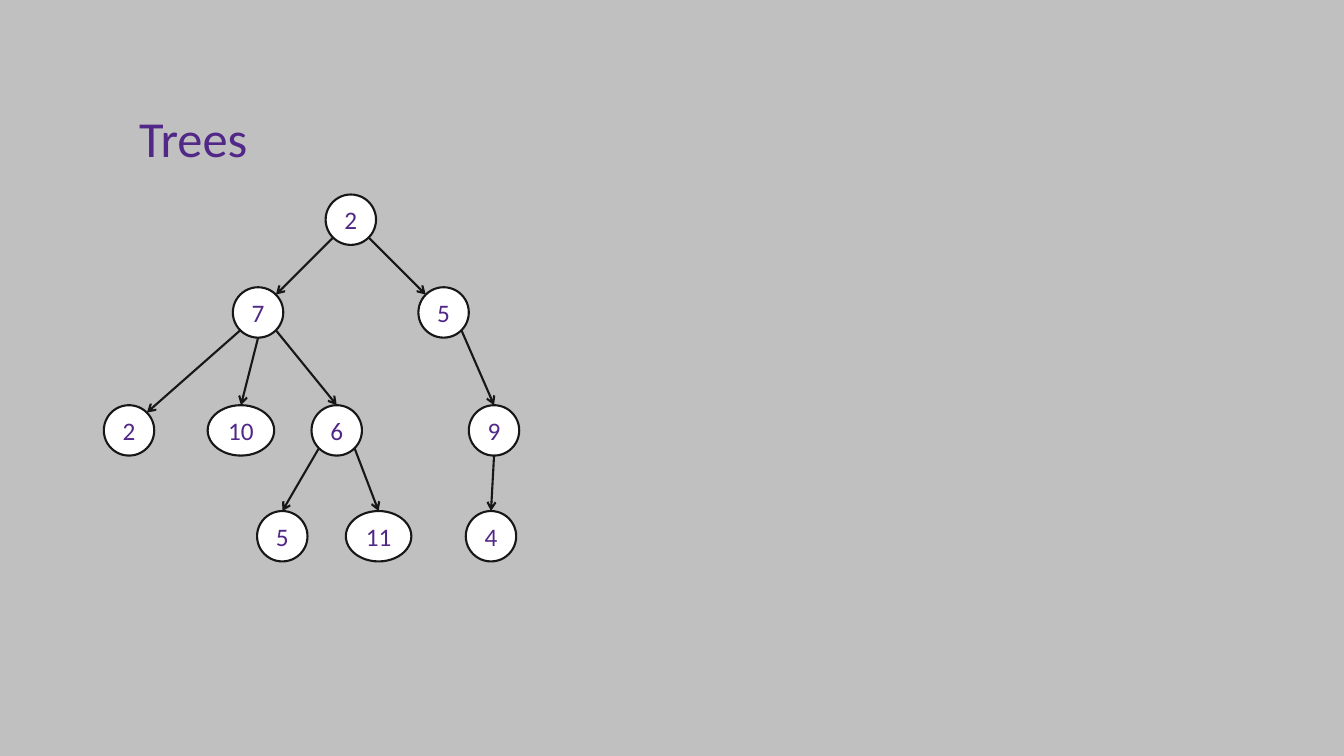
from math import cos, radians, sin

from lxml import etree
from pptx import Presentation
from pptx.dml.color import RGBColor
from pptx.enum.shapes import MSO_CONNECTOR, MSO_SHAPE
from pptx.enum.text import MSO_ANCHOR, MSO_AUTO_SIZE, PP_ALIGN
from pptx.oxml.ns import qn
from pptx.util import Inches, Pt

# Directions from a node's centre, in degrees clockwise from the right
ANGLES = {"right_down": 45, "down": 90, "left_down": 135,
          "left_up": 225, "up": 270, "right_up": 315}

# name: (label, left, top, width)
NODES = {
    "root": ("2", 3.23, 1.93, 0.5),
    "seven": ("7", 2.31, 2.85, 0.5),
    "right_five": ("5", 4.15, 2.85, 0.5),
    "left_two": ("2", 1.03, 4.02, 0.5),
    "ten": ("10", 2.06, 4.02, 0.66),
    "six": ("6", 3.09, 4.02, 0.5),
    "nine": ("9", 4.65, 4.02, 0.5),
    "left_five": ("5", 2.55, 5.07, 0.5),
    "eleven": ("11", 3.43, 5.07, 0.65),
    "four": ("4", 4.62, 5.07, 0.5),
}

# (parent, leaving side, child, entering side)
EDGES = [
    ("root", "left_down", "seven", "right_up"),
    ("root", "right_down", "right_five", "left_up"),
    ("right_five", "right_down", "nine", "up"),
    ("nine", "down", "four", "up"),
    ("seven", "left_down", "left_two", "right_up"),
    ("seven", "down", "ten", "up"),
    ("seven", "right_down", "six", "up"),
    ("six", "left_down", "left_five", "up"),
    ("six", "right_down", "eleven", "up"),
]


def rgb(color):
    return RGBColor.from_string(color)


def write(tf, text, size, color, font="Calibri", align=PP_ALIGN.LEFT,
          anchor=MSO_ANCHOR.TOP):
    tf.word_wrap = False
    tf.vertical_anchor = anchor
    p = tf.paragraphs[0]
    p.alignment = align
    r = p.add_run()
    r.text = text
    r.font.name, r.font.size = font, Pt(size)
    r.font.color.rgb = rgb(color)


class TreeSlide:
    purple, ink, paper, gray = "512888", "181717", "FFFFFF", "C0C0C0"
    line_width = 1.5
    node_height = 0.5

    def __init__(self, prs):
        self.s = prs.slides.add_slide(prs.slide_layouts[5])
        fill = self.s.background.fill
        fill.solid()
        fill.fore_color.rgb = rgb(self.gray)

    def style_line(self, line):
        line.color.rgb = rgb(self.ink)
        line.width = Pt(self.line_width)

    def title(self, text, left, top, width, height):
        sp = self.s.shapes.title
        sp.left, sp.top = Inches(left), Inches(top)
        sp.width, sp.height = Inches(width), Inches(height)
        write(sp.text_frame, text, 36, self.purple)
        sp.text_frame.auto_size = MSO_AUTO_SIZE.SHAPE_TO_FIT_TEXT

    def node(self, label, left, top, width):
        sp = self.s.shapes.add_shape(
            MSO_SHAPE.OVAL, Inches(left), Inches(top),
            Inches(width), Inches(self.node_height))
        sp.shadow.inherit = False
        sp.fill.solid()
        sp.fill.fore_color.rgb = rgb(self.paper)
        self.style_line(sp.line)
        write(sp.text_frame, label, 18, self.purple,
              align=PP_ALIGN.CENTER, anchor=MSO_ANCHOR.MIDDLE)
        return sp

    def rim_point(self, sp, side):
        """Return the point on the node's outline in the given direction."""
        angle = radians(ANGLES[side])
        return (round(sp.left + sp.width / 2 * (1 + cos(angle))),
                round(sp.top + sp.height / 2 * (1 + sin(angle))))

    def edge(self, parent, leaving, child, entering):
        c = self.s.shapes.add_connector(
            MSO_CONNECTOR.STRAIGHT, *self.rim_point(parent, leaving),
            *self.rim_point(child, entering))
        self.style_line(c.line)
        etree.SubElement(c.line._get_or_add_ln(), qn("a:tailEnd"), type="arrow")
        etree.SubElement(c._element.spPr, qn("a:effectLst"))


def main():
    prs = Presentation()
    prs.slide_width, prs.slide_height = Inches(13.33), Inches(7.5)
    tree = TreeSlide(prs)
    tree.title("Trees", 1.28, 1.01, 1.28, 0.71)
    nodes = {name: tree.node(*spec_row) for name, spec_row in NODES.items()}
    for parent, leaving, child, entering in EDGES:
        tree.edge(nodes[parent], leaving, nodes[child], entering)
    prs.save("out.pptx")


if __name__ == "__main__":
    main()
